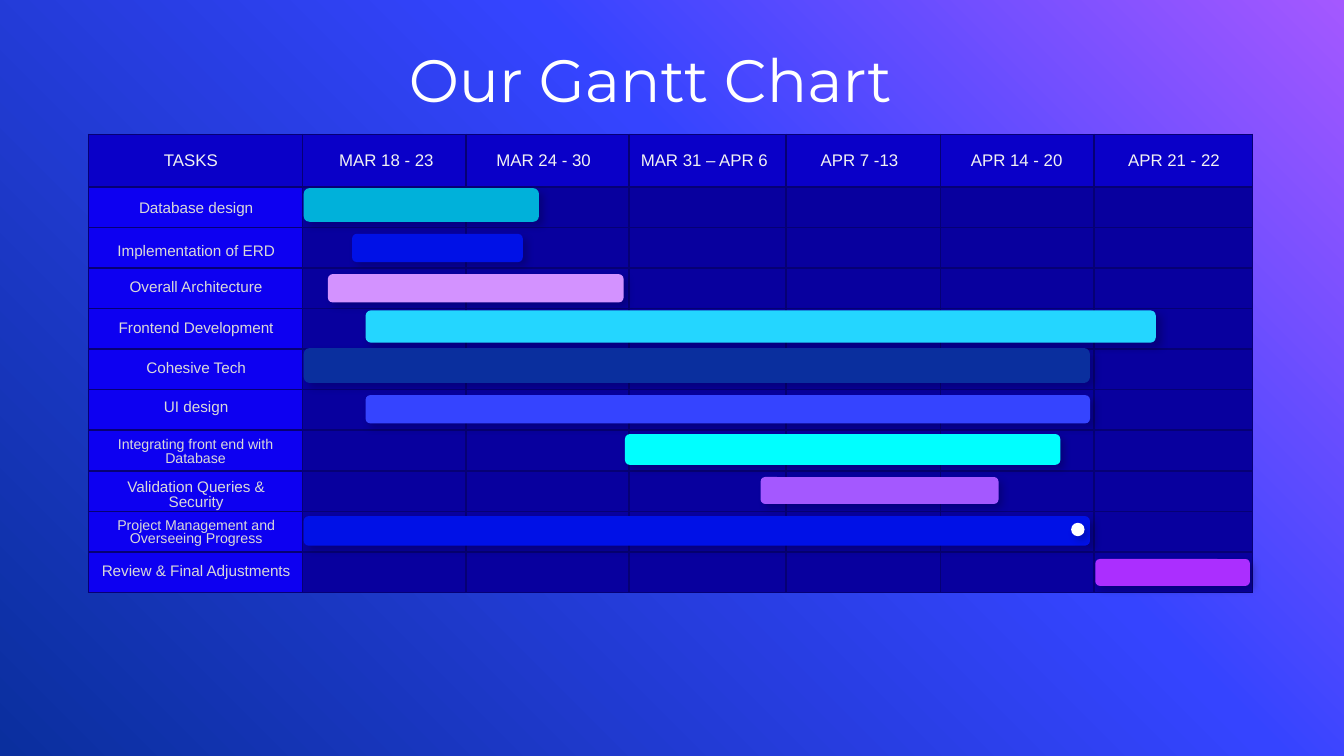
from copy import deepcopy

from lxml import etree
from pptx import Presentation
from pptx.dml.color import RGBColor
from pptx.enum.shapes import MSO_SHAPE
from pptx.enum.text import MSO_ANCHOR, PP_ALIGN
from pptx.oxml import parse_xml
from pptx.oxml.ns import qn
from pptx.util import Inches, Pt

ROUNDED, OVAL = MSO_SHAPE.ROUNDED_RECTANGLE, MSO_SHAPE.OVAL
CENTER = PP_ALIGN.CENTER
MIDDLE, BOTTOM = MSO_ANCHOR.MIDDLE, MSO_ANCHOR.BOTTOM
DRAWING_NS = "http://schemas.openxmlformats.org/drawingml/2006/main"

WHITE = RGBColor(0xFF, 0xFF, 0xFF)
HEADER_TEXT = RGBColor(0xF2, 0xF2, 0xF2)
TASK_TEXT = RGBColor(0xD9, 0xD9, 0xD9)
HEADER_FILL = RGBColor(0x0A, 0x00, 0xC8)
TASK_FILL = RGBColor(0x0D, 0x00, 0xF1)
GRID_FILL = RGBColor(0x08, 0x00, 0x9E)
GRID_LINE = RGBColor(0x06, 0x00, 0x75)
PURPLE = RGBColor(0xA4, 0x58, 0xFF)
INDIGO = RGBColor(0x35, 0x44, 0xFF)
NAVY = RGBColor(0x0A, 0x2F, 0x9E)
BLUE = RGBColor(0x00, 0x11, 0xE7)
TEAL = RGBColor(0x00, 0xB1, 0xDA)
LILAC = RGBColor(0xD3, 0x92, 0xFF)
SKY = RGBColor(0x24, 0xD6, 0xFF)
CYAN = RGBColor(0x00, 0xFF, 0xFF)
VIOLET = RGBColor(0xAB, 0x2E, 0xFF)

BACKGROUND = [(0, PURPLE), (0.39, INDIGO), (1, NAVY)]
TITLE = "Our Gantt Chart"

# Lengths below are in inches.
PAGE_WIDTH = 10
PAGE_HEIGHT = PAGE_WIDTH * 9 / 16
TABLE_LEFT, TABLE_TOP, TABLE_HEIGHT, HEADER_HEIGHT = 0.66, 1, 3.41, 0.39
COLUMN_WIDTHS = [1.59, 1.22, 1.21, 1.17, 1.15, 1.14, 1.18]
HEADER_LABEL_TOP, HEADER_LABEL_HEIGHT = 1.03, 0.34

# text, left, width
HEADERS = [
    ("TASKS", 1.1, 0.64),
    ("MAR 18 - 23", 2.44, 0.87),
    ("MAR 24 - 30", 3.61, 0.87),
    ("MAR 31 – APR 6", 4.65, 1.18),
    ("APR 7 -13", 5.96, 0.87),
    ("APR 14 - 20", 7.13, 0.87),
    ("APR 21 - 22", 8.3, 0.87),
]

# text, (left, top, width, height), size, line spacing, bar place, bar colour
TASKS = [
    ("Database design", (0.66, 1.39, 1.6, 0.32), 8.2, 0.9,
     (2.26, 1.4, 1.75, 0.25), TEAL),
    ("Implementation of ERD", (0.66, 1.71, 1.6, 0.32), 8.2, 0.9,
     (2.62, 1.74, 1.27, 0.21), BLUE),
    ("Overall Architecture", (0.66, 1.99, 1.6, 0.3), 8.2, 0.9,
     (2.44, 2.04, 2.2, 0.21), LILAC),
    ("Frontend Development", (0.66, 2.3, 1.6, 0.29), 8.2, 0.9,
     (2.72, 2.31, 5.88, 0.24), SKY),
    ("Cohesive Tech", (0.66, 2.59, 1.6, 0.3), 8.2, 0.9,
     (2.26, 2.59, 5.85, 0.26), NAVY),
    ("UI design", (0.66, 2.87, 1.6, 0.32), 8.2, 0.9,
     (2.72, 2.94, 5.39, 0.21), INDIGO),
    ("Integrating front end with Database", (0.74, 3.21, 1.43, 0.31), 7.6, 0.8,
     (4.65, 3.23, 3.24, 0.23), CYAN),
    ("Validation Queries & Security", (0.66, 3.54, 1.6, 0.3), 8.2, 0.8,
     (5.66, 3.55, 1.77, 0.2), PURPLE),
    ("Project Management and Overseeing Progress", (0.66, 3.81, 1.6, 0.31), 7.6, 0.8,
     (2.26, 3.84, 5.85, 0.22), BLUE),
    ("Review & Final Adjustments", (0.66, 4.1, 1.6, 0.3), 8.2, 0.9,
     (8.15, 4.16, 1.15, 0.2), VIOLET),
]
MILESTONE = (7.97, 3.89, 0.1, 0.1)


def inches(place):
    return [Inches(value) for value in place]


def paint_background(page):
    fill = page.background.fill
    fill.gradient()
    fill.gradient_angle = 225  # counter-clockwise: top right to bottom left
    first = fill.gradient_stops[0]._gs
    first.addnext(deepcopy(first))
    for stop, (position, color) in zip(fill.gradient_stops, BACKGROUND):
        stop.position = position
        stop.color.rgb = color


def write(frame, text, size, color, font="Arial", spacing=None, anchor=MIDDLE,
          insets=(0.07, 0.04)):
    side, end = inches(insets)
    frame.margin_left = frame.margin_right = side
    frame.margin_top = frame.margin_bottom = end
    frame.word_wrap = True
    frame.vertical_anchor = anchor
    para = frame.paragraphs[0]
    para.alignment = CENTER
    if spacing:
        para.line_spacing = spacing
    span = para.add_run()
    span.text = text
    span.font.size = Pt(size)
    span.font.name = font
    span.font.color.rgb = color


def add_label(page, text, place, **style):
    write(page.shapes.add_textbox(*inches(place)).text_frame, text, **style)


def format_cell(cell, color):
    """Give an empty cell its borders, fill and small line height."""
    properties = cell._tc.get_or_add_tcPr()
    for side in ("lnL", "lnR", "lnT", "lnB"):
        properties.append(parse_xml(
            f'<a:{side} xmlns:a="{DRAWING_NS}" w="{Pt(1)}"><a:solidFill>'
            f'<a:srgbClr val="{GRID_LINE}"/></a:solidFill></a:{side}>'))
    cell.fill.solid()
    cell.fill.fore_color.rgb = color
    para = cell.text_frame.paragraphs[0]
    etree.SubElement(para._p, qn("a:endParaRPr"), sz="800")


def add_grid(page):
    frame = page.shapes.add_table(
        len(TASKS) + 1, len(COLUMN_WIDTHS),
        *inches((TABLE_LEFT, TABLE_TOP, sum(COLUMN_WIDTHS), TABLE_HEIGHT)))
    table = frame.table
    for column, width in zip(table.columns, COLUMN_WIDTHS):
        column.width = Inches(width)
    task_height = (TABLE_HEIGHT - HEADER_HEIGHT) / len(TASKS)
    for index, row in enumerate(table.rows):
        row.height = Inches(task_height if index else HEADER_HEIGHT)
        for number, cell in enumerate(row.cells):
            body = GRID_FILL if number else TASK_FILL
            format_cell(cell, body if index else HEADER_FILL)


def add_mark(page, kind, place, color):
    """Add a filled shape with a soft shadow to the lower right."""
    shape = page.shapes.add_shape(kind, *inches(place))
    shape.fill.solid()
    shape.fill.fore_color.rgb = color
    shape.line.fill.background()
    shape.shadow.inherit = False
    effects = shape._element.spPr.find(qn("a:effectLst"))
    effects.append(parse_xml(
        f'<a:outerShdw xmlns:a="{DRAWING_NS}" blurRad="{Pt(4)}" dist="{Pt(3)}" '
        'dir="2700000" algn="tl" rotWithShape="0"><a:srgbClr val="000000">'
        '<a:alpha val="20000"/></a:srgbClr></a:outerShdw>'))


def main():
    deck = Presentation()
    deck.slide_width, deck.slide_height = inches((PAGE_WIDTH, PAGE_HEIGHT))
    page = deck.slides.add_slide(deck.slide_layouts[5])
    paint_background(page)

    title = page.shapes.title
    title.left, title.top, title.width, title.height = inches((0.59, 0.36, 8.5, 0.49))
    write(title.text_frame, TITLE, size=32, color=WHITE, font="Montserrat",
          anchor=BOTTOM, insets=(0, 0))

    add_grid(page)
    for text, left, width in HEADERS:
        add_label(page, text, (left, HEADER_LABEL_TOP, width, HEADER_LABEL_HEIGHT),
                  size=9, color=HEADER_TEXT, spacing=0.9)
    for text, place, size, spacing, bar, color in TASKS:
        add_label(page, text, place, size=size, color=TASK_TEXT, spacing=spacing)
        add_mark(page, ROUNDED, bar, color)
    add_mark(page, OVAL, MILESTONE, WHITE)

    deck.save("out.pptx")


if __name__ == "__main__":
    main()
